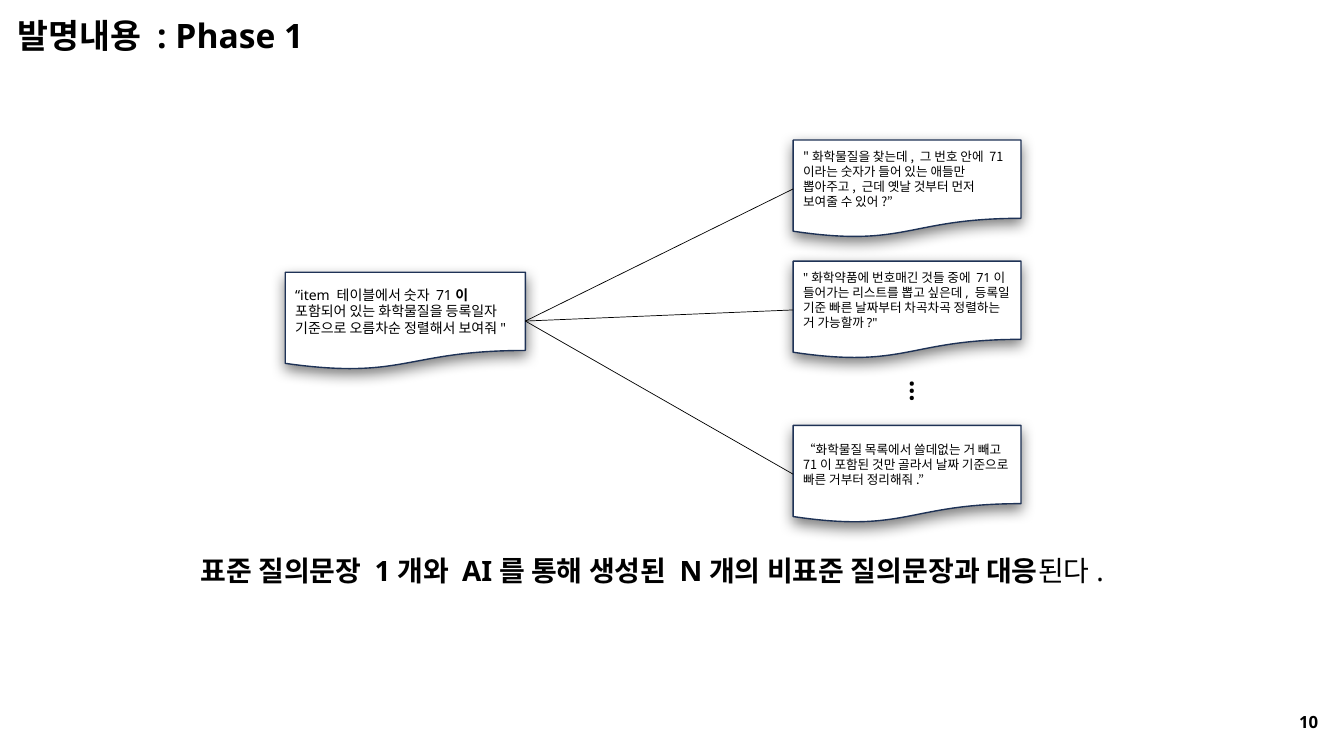
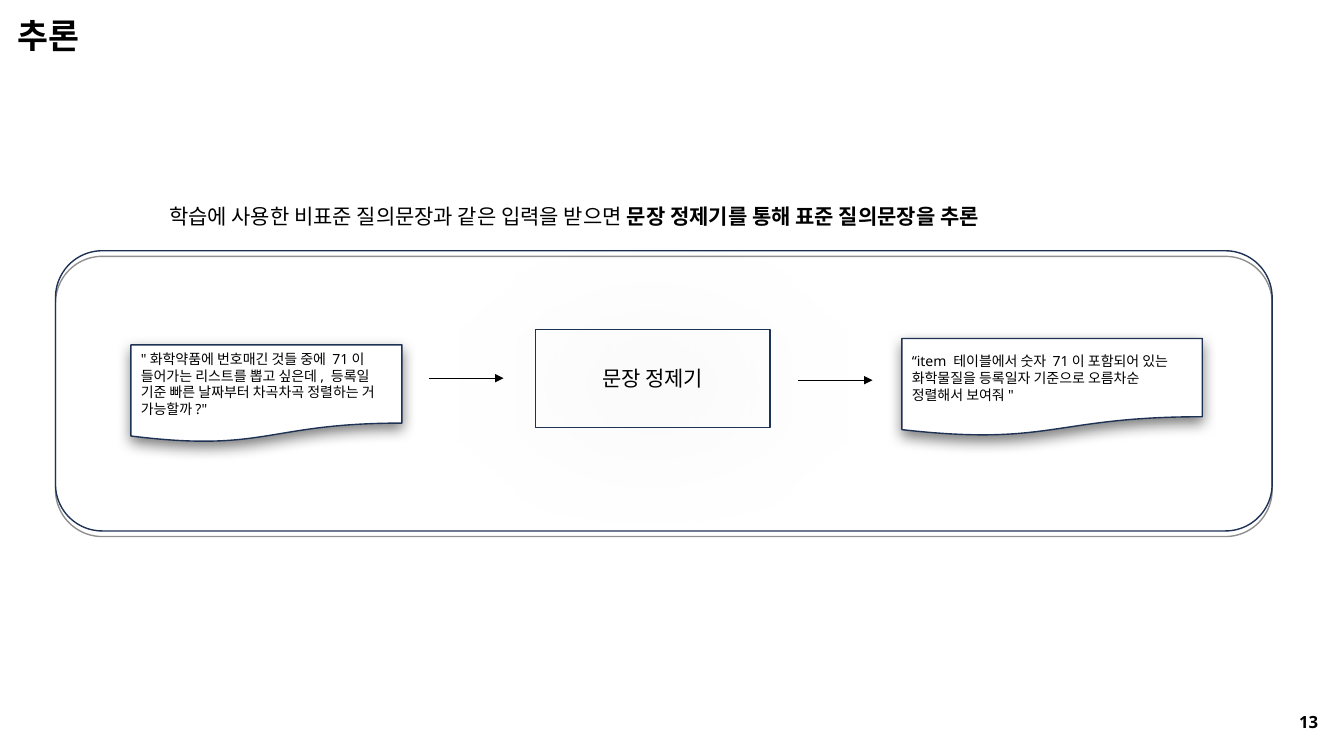
"""Two slides on standard and non-standard query sentences."""
from dataclasses import dataclass

from lxml import etree
from pptx import Presentation
from pptx import util as u
from pptx.dml.color import RGBColor
from pptx.enum import shapes, text
from pptx.oxml.ns import qn


@dataclass(frozen=True)
class Theme:
    """Colours, fonts and type sizes of the deck."""
    ink: RGBColor = RGBColor(0, 0, 0)
    paper: RGBColor = RGBColor(255, 255, 255)
    edge: RGBColor = RGBColor(0x1E, 0x32, 0x56)
    latin: str = "Noto Sans"
    korean: str = "Noto Sans CJK KR"
    title: int = 24
    claim: int = 20
    mark: int = 18
    body: int = 15
    number: int = 12
    note: int = 10
    small: int = 9


T = Theme()
SHAPE = shapes.MSO_SHAPE
NOTE_H = 2.46
STANDARD = "포함되어 있는 화학물질을 등록일자 기준으로 오름차순 정렬해서 보여줘\""
CASUAL = ("\"화학약품에 번호매긴 것들 중에 71이 들어가는 리스트를 뽑고 싶은데, "
          "등록일 기준 빠른 날짜부터 차곡차곡 정렬하는 거 가능할까?\"")
VARIANTS = [
    (0, T.korean, "\"화학물질을 찾는데, 그 번호 안에 71이라는 숫자가 들어 있는 애들만 "
                  "뽑아주고, 근데 옛날 것부터 먼저 보여줄 수 있어?”"),
    (3.05, T.latin, CASUAL),
    (7.19, T.korean, "“화학물질 목록에서 쓸데없는 거 빼고 71이 포함된 것만 골라서 "
                     "날짜 기준으로 빠른 거부터 정리해줘.”"),
]


def cm(*lengths):
    """Turn numbers into centimetre lengths."""
    return [u.Cm(v) for v in lengths]


def write(tf, runs, size, font=T.latin, bold=False, align=text.PP_ALIGN.LEFT):
    """Write one paragraph from a string or (string, bold) runs."""
    p = tf.paragraphs[0]
    p.alignment = align
    for words, heavy in [(runs, bold)] if isinstance(runs, str) else runs:
        r = p.add_run()
        r.text = words
        r.font.size, r.font.name, r.font.bold = u.Pt(size), font, heavy
        r.font.color.rgb = T.ink
        etree.SubElement(r.font._element, qn("a:ea"), typeface=T.korean)


def label(s, box, runs, size, wrap=True, vert=None, **fmt):
    """Add a text box that grows with its text."""
    sp = s.shapes.add_textbox(*cm(*box))
    tf = sp.text_frame
    tf.word_wrap = wrap
    tf.auto_size = text.MSO_AUTO_SIZE.SHAPE_TO_FIT_TEXT
    if vert:
        sp.element.txBody.bodyPr.set("vert", vert)
    write(tf, runs, size, **fmt)
    return sp


def outline(s, kind, box, fill=None, blur=0, alpha=43):
    """Add an edged shape with a shadow straight below it."""
    sp = s.shapes.add_shape(kind, *cm(*box))
    if fill is None:
        sp.fill.background()
    else:
        sp.fill.solid()
        sp.fill.fore_color.rgb = fill
    sp.line.color.rgb, sp.line.width = T.edge, u.Pt(1)
    sp.shadow.inherit = False
    shadow = etree.SubElement(
        sp.element.spPr.find(qn("a:effectLst")), qn("a:outerShdw"),
        blurRad=str(u.Pt(blur)), dist=str(u.Pt(4)), dir="5400000",
        algn="t", rotWithShape="0")
    black = etree.SubElement(shadow, qn("a:srgbClr"), val=str(T.ink))
    etree.SubElement(black, qn("a:alpha"), val=str(alpha * 1000))
    sp.text_frame.word_wrap = True
    sp.text_frame.vertical_anchor = text.MSO_ANCHOR.MIDDLE
    return sp


def note(s, x, y, w, runs, size=T.note, **fmt):
    """Add a document shape holding one query sentence."""
    sp = outline(s, SHAPE.FLOWCHART_DOCUMENT, (x, y, w, NOTE_H), T.paper, 10, 50)
    write(sp.text_frame, runs, size, **fmt)
    return sp


def link(s, start=(0, 0), end=(0, 0), arrow=False):
    """Add a thin straight line, with an arrowhead if asked."""
    cn = s.shapes.add_connector(shapes.MSO_CONNECTOR.STRAIGHT, *cm(*start, *end))
    cn.line.color.rgb, cn.line.width = T.ink, u.Pt(0.5)
    spPr = cn.element.spPr
    if arrow:
        etree.SubElement(spPr.find(qn("a:ln")), qn("a:tailEnd"), type="triangle")
    etree.SubElement(spPr, qn("a:effectLst"))
    return cn


def new_slide(prs, title, number):
    """Add a blank slide with its title and page number."""
    s = prs.slides.add_slide(prs.slide_layouts[6])
    label(s, (0.2, 0.25, 8.2, 1.27), title, T.title, bold=True)
    label(s, (32.49, 17.81, 1.19, 0.76), number, T.number, bold=True)
    return s


def query_fan(s, x, y, w):
    """Link the standard query to its variants, from a top left corner."""
    variant_w = 5.74
    source = note(s, x, y + 3.33, 6.05, [
        ("“item 테이블에서 숫자 71", False), ("이 ", True), (STANDARD, False)])
    for dy, font, words in VARIANTS:
        target = note(s, x + w - variant_w, y + dy, variant_w, words, T.small, font=font)
        cn = link(s)
        cn.begin_connect(source, 3)
        cn.end_connect(target, 1)
    label(s, (x + 15.24, y + 5.82, 1.27, 0.81), "…", T.mark,
          wrap=False, vert="eaVert", bold=True)


def inference_panel(s, x, y, w, h):
    """Show a query passing through the refiner inside a rounded panel."""
    outline(s, SHAPE.ROUNDED_RECTANGLE, (x, y, w, h))
    note(s, x + 1.9, y + 2.37, 6.83, CASUAL)
    note(s, x + 21.33, y + 2.21, 7.57, "“item 테이블에서 숫자 71이 " + STANDARD)
    refiner = outline(s, SHAPE.RECTANGLE, (x + 12.09, y + 1.99, 5.92, NOTE_H), blur=100)
    write(refiner.text_frame, "문장 정제기", T.body, align=text.PP_ALIGN.CENTER)
    for dx, dy in ((9.42, 3.21), (18.72, 3.26)):
        link(s, (x + dx, y + dy), (x + dx + 1.87, y + dy), arrow=True)


def phase_slide(prs):
    """Build the slide on one standard and many variant queries."""
    s = new_slide(prs, "발명내용 : Phase 1", "10")
    query_fan(s, 7.19, 3.53, 18.54)
    label(s, (4.8, 13.82, 24.26, 1.12), [
        ("표준 질의문장 1개와 AI를 통해 생성된 N개의 비표준 질의문장과 대응", True),
        ("된다.", False)], T.claim)


def inference_slide(prs):
    """Build the slide on inferring the standard query."""
    s = new_slide(prs, "추론", "13")
    label(s, (4.01, 5, 25.5, 0.89), [
        ("학습에 사용한 비표준 질의문장과 같은 입력을 받으면 ", False),
        ("문장 정제기를 통해 표준 질의문장을 추론", True)], T.body)
    inference_panel(s, 1.4, 6.32, 30.66, 7.06)


def main():
    """Build and save the deck."""
    prs = Presentation()
    prs.slide_width, prs.slide_height = cm(33.87, 19.05)
    phase_slide(prs)
    inference_slide(prs)
    prs.save("out.pptx")


if __name__ == "__main__":
    main()
